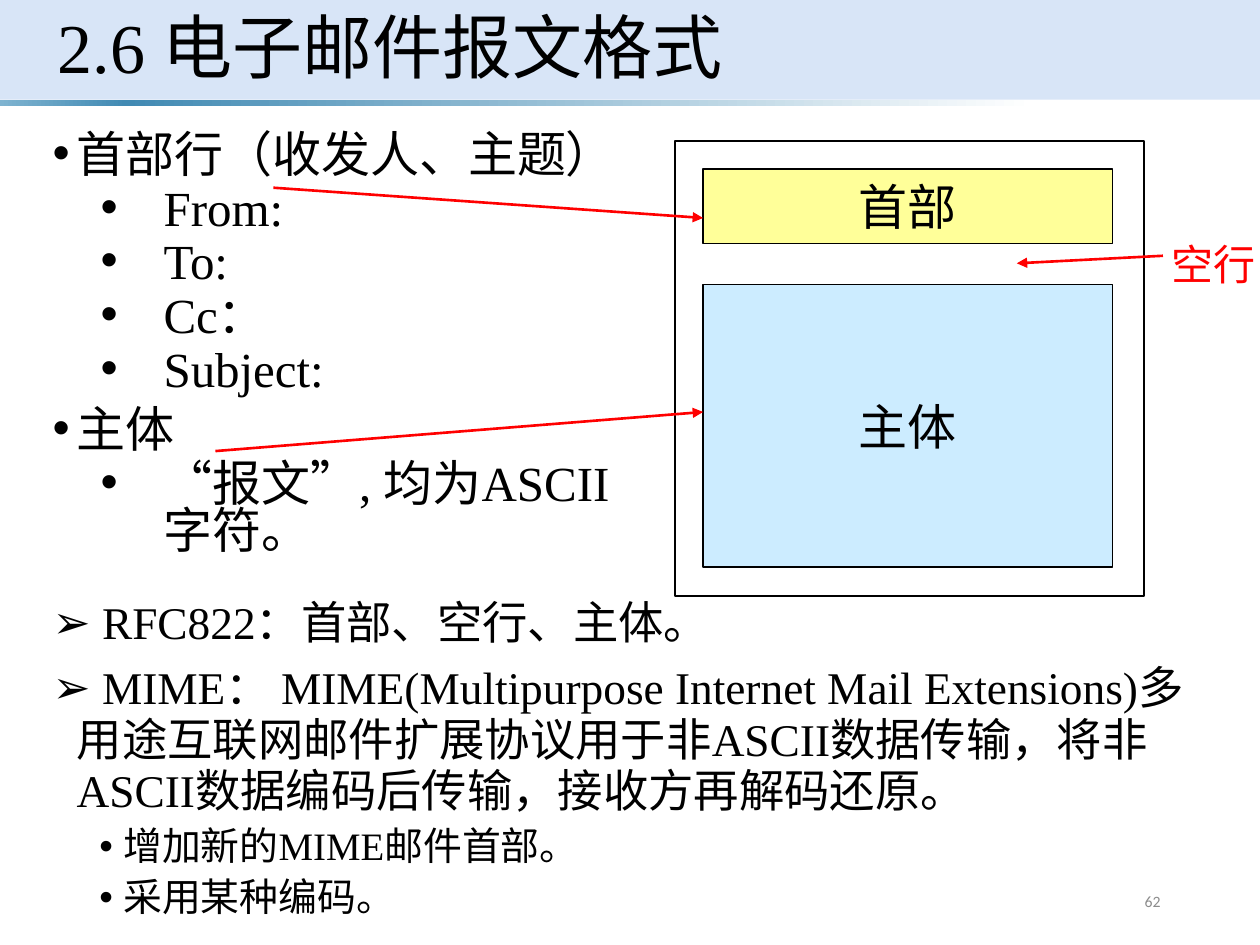
import lxml.etree
import pptx
import pptx.dml.color
import pptx.enum.shapes
import pptx.enum.text
import pptx.oxml
import pptx.oxml.ns
import pptx.util

Inches = pptx.util.Inches
Pt = pptx.util.Pt
RGBColor = pptx.dml.color.RGBColor
Align = pptx.enum.text.PP_ALIGN
Anchor = pptx.enum.text.MSO_ANCHOR
qn = pptx.oxml.ns.qn

BLACK = RGBColor(0x00, 0x00, 0x00)
RED = RGBColor(0xFF, 0x00, 0x00)
GREY = RGBColor(0x8C, 0x8C, 0x8C)
BANNER = RGBColor(0xC8, 0xDA, 0xF4)
YELLOW = RGBColor(0xFF, 0xFF, 0x99)
PALE_BLUE = RGBColor(0xCC, 0xEC, 0xFF)
LIGHT_TEAL = RGBColor(0x7E, 0xB3, 0xD0)
TEAL = RGBColor(0x41, 0x8A, 0xB3)
WHITE = RGBColor(0xFF, 0xFF, 0xFF)
SERIF = "Times New Roman"
SANS = "Calibri"

FIELDS = [
    (0, "首部行（收发人、主题）"),
    (1, "From:"),
    (1, "To:"),
    (1, "Cc："),
    (1, "Subject:"),
    (0, "主体"),
    (1, "“报文”, 均为ASCII 字符。"),
]
STANDARDS = [
    (0, " RFC822：首部、空行、主体。"),
    (0, " MIME： MIME(Multipurpose Internet Mail Extensions)多用途互联网邮件扩展协议"
        "用于非ASCII数据传输，将非ASCII数据编码后传输，接收方再解码还原。"),
    (1, "增加新的MIME邮件首部。"),
    (1, "采用某种编码。"),
]


def style(paragraph, size, font, color, align=Align.LEFT):
    """Set the font and alignment of a paragraph."""
    paragraph.alignment = align
    paragraph.font.size = Pt(size)
    paragraph.font.name = font
    paragraph.font.color.rgb = color


def add_box(slide, place, fill=None, line_width=None):
    """Add a rectangle with an optional fill and black outline."""
    box = slide.shapes.add_shape(
        pptx.enum.shapes.MSO_SHAPE.RECTANGLE, *map(Inches, place))
    box.shadow.inherit = False
    if fill is None:
        box.fill.background()
    else:
        box.fill.solid()
        box.fill.fore_color.rgb = fill
    if line_width is None:
        box.line.fill.background()
    else:
        box.line.color.rgb = BLACK
        box.line.width = Pt(line_width)
    return box


def add_banner(slide):
    """Add the translucent title band and the fading strip below it."""
    band = add_box(slide, (0, 0, 10, 0.79), BANNER)
    color = band.fill._xPr.find(".//" + qn("a:srgbClr"))
    lxml.etree.SubElement(color, qn("a:alpha"), val="70000")

    strip = add_box(slide, (0, 0.79, 10, 0.05))
    strip.fill.gradient()
    strip.fill.gradient_angle = 0
    stops = strip.fill._xPr.find(".//" + qn("a:gsLst"))
    for stop in list(stops):
        stops.remove(stop)
    for percent, shade in ((0, LIGHT_TEAL), (10, TEAL), (82, WHITE), (96, WHITE)):
        stop = lxml.etree.SubElement(stops, qn("a:gs"), pos=str(percent * 1000))
        lxml.etree.SubElement(stop, qn("a:srgbClr"), val=str(shade))


def set_title(slide, text):
    """Place and format the slide title."""
    title = slide.shapes.title
    title.left, title.top, title.width, title.height = map(
        Inches, (0.36, 0, 9.28, 0.81))
    title.text_frame.text = text
    title.text_frame.vertical_anchor = Anchor.MIDDLE
    heading = title.text_frame.paragraphs[0]
    heading.line_spacing = 0.9
    style(heading, 40, SERIF, BLACK)


def add_label(slide, place, text, size, color, align, wrap=False, anchor=Anchor.TOP):
    """Add a one-line text box."""
    frame = slide.shapes.add_textbox(*map(Inches, place)).text_frame
    frame.word_wrap = wrap
    frame.vertical_anchor = anchor
    frame.text = text
    style(frame.paragraphs[0], size, SANS, color, align)


def add_part(slide, place, text, fill):
    """Add a labelled part of the message diagram."""
    frame = add_box(slide, place, fill, 0.75).text_frame
    frame.word_wrap = False
    frame.vertical_anchor = Anchor.MIDDLE
    frame.text = text
    style(frame.paragraphs[0], 28, SANS, BLACK, Align.CENTER)


def add_list(slide, place, items, levels, line_spacing):
    """Add a bulleted list; each level gives bullet, margin, hang and size."""
    frame = slide.shapes.add_textbox(*map(Inches, place)).text_frame
    frame.word_wrap = True
    for index, (level, text) in enumerate(items):
        bullet, margin, hang, size = levels[level]
        item = frame.add_paragraph() if index else frame.paragraphs[0]
        item.text = text
        item.level = level
        item.line_spacing = line_spacing
        if index:
            item.space_before = Pt((7.5, 3.8)[level])
        properties = item._p.get_or_add_pPr()
        properties.set("marL", str(Inches(margin)))
        properties.set("indent", str(-Inches(hang)))
        lxml.etree.SubElement(properties, qn("a:buFont"), typeface="Arial")
        lxml.etree.SubElement(properties, qn("a:buChar"), char=bullet)
        style(item, size, SERIF, BLACK)


def add_arrow(slide, start, end):
    """Add a red arrow pointing at end."""
    arrow = slide.shapes.add_connector(
        pptx.enum.shapes.MSO_CONNECTOR.STRAIGHT, *map(Inches, start + end))
    arrow.line.color.rgb = RED
    arrow.line.width = Pt(1.5)
    lxml.etree.SubElement(arrow.line._get_or_add_ln(), qn("a:tailEnd"), type="triangle")
    lxml.etree.SubElement(arrow._element.spPr, qn("a:effectLst"))


def main():
    """Build the slide on the e-mail message format."""
    deck = pptx.Presentation()
    deck.slide_width, deck.slide_height = Inches(10), Inches(7.5)
    slide = deck.slides.add_slide(deck.slide_layouts[5])

    add_banner(slide)
    set_title(slide, "2.6 电子邮件报文格式")
    slide.shapes._spTree.append(slide.shapes.title._element)
    add_label(slide, (7.06, 6.95, 2.25, 0.4), "62", 9, GREY, Align.RIGHT,
              wrap=True, anchor=Anchor.MIDDLE)

    add_list(slide, (0.32, 1.02, 4.9, 3.68), FIELDS,
             [("•", 0.19, 0.19, 28), ("•", 0.88, 0.5, 28)], 0.8)
    add_part(slide, (5.58, 1.34, 3.25, 0.59), "首部", YELLOW)
    add_part(slide, (5.58, 2.26, 3.25, 2.24), "主体", PALE_BLUE)
    add_box(slide, (5.36, 1.12, 3.72, 3.61), line_width=1)
    for start, end in (
        ((2.17, 1.49), (5.58, 1.73)),
        ((1.71, 3.58), (5.58, 3.27)),
        ((9.23, 2.03), (8.07, 2.09)),
    ):
        add_arrow(slide, start, end)

    add_list(slide, (0.32, 4.7, 9.32, 2.8), STANDARDS,
             [("➢", 0.19, 0.19, 25.9), ("•", 0.56, 0.19, 22.2)], 0.95)
    add_label(slide, (9.19, 1.84, 0.88, 0.5), "空行", 24, RED, Align.CENTER)
    deck.save("out.pptx")


if __name__ == "__main__":
    main()
